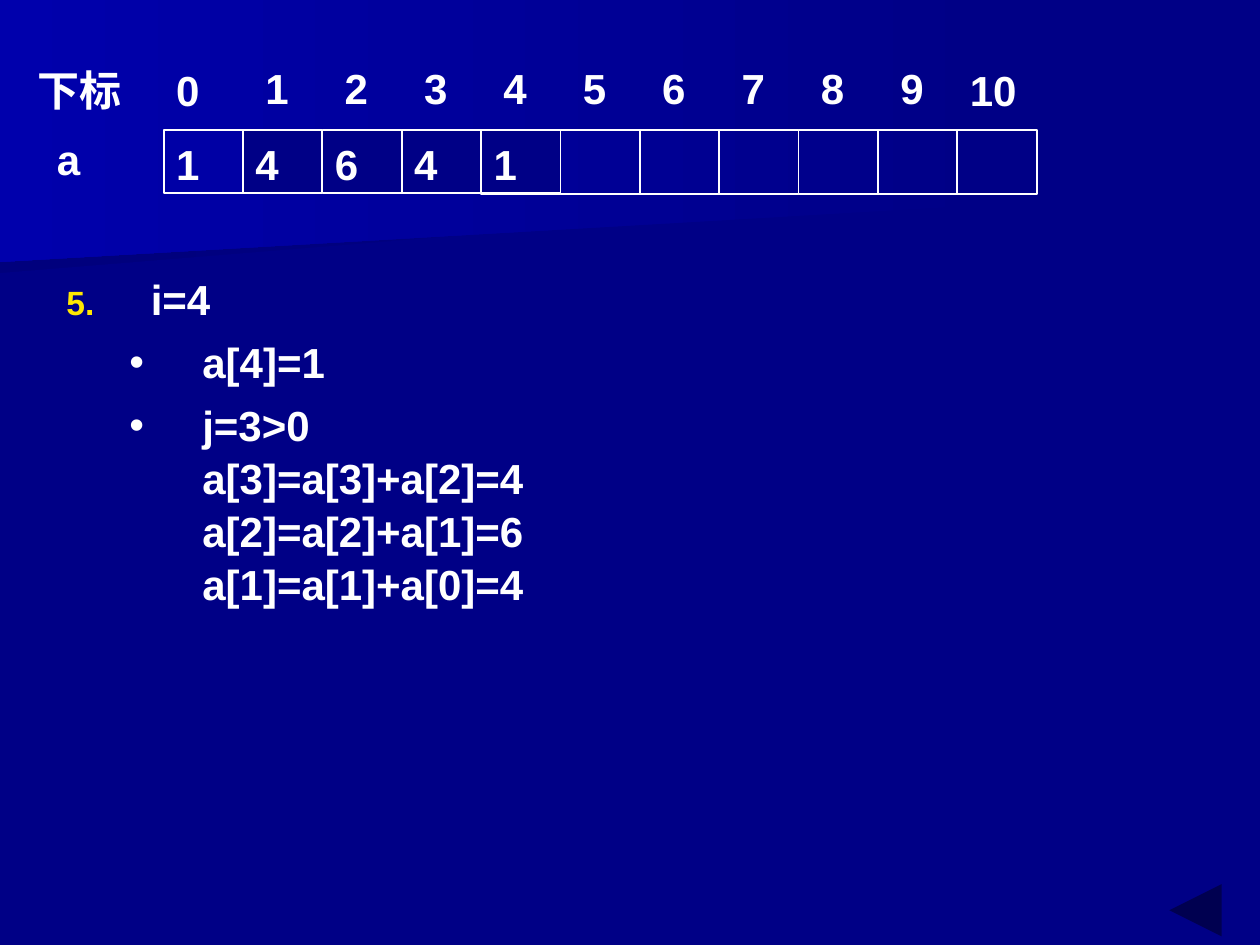
from dataclasses import dataclass

from lxml.etree import SubElement
from pptx import Presentation
from pptx.dml.color import RGBColor
from pptx.enum.shapes import MSO_SHAPE
from pptx.enum.text import MSO_ANCHOR, PP_ALIGN
from pptx.oxml.ns import qn
from pptx.util import Cm, Pt


@dataclass(frozen=True)
class Theme:
    navy: RGBColor = RGBColor.from_string("000086")
    shade: RGBColor = RGBColor.from_string("00007D")
    glow: RGBColor = RGBColor.from_string("0000AC")
    white: RGBColor = RGBColor.from_string("FFFFFF")
    number: RGBColor = RGBColor.from_string("FFE701")
    font: str = "Arial"
    size: Pt = Pt(24)
    outline: Pt = Pt(1)
    line_spacing: float = 1.05


theme = Theme()


def write(paragraph, text):
    """Add text run by run, with a line break between its lines."""
    paragraph.alignment = PP_ALIGN.LEFT
    paragraph.line_spacing = theme.line_spacing
    for index, line in enumerate(text.split("\n")):
        if index:
            paragraph.add_line_break()
        run = paragraph.add_run()
        run.text = line
        run.font.name = theme.font
        run.font.size = theme.size
        run.font.bold = True
        run.font.color.rgb = theme.white


def add_cell(index, height, value="", filled=False):
    """Draw one array cell in its column."""
    cell = slide.shapes.add_shape(
        MSO_SHAPE.RECTANGLE, Cm(first_column + index * pitch), Cm(2.62), Cm(pitch), Cm(height))
    cell.shadow.inherit = False
    cell.line.color.rgb = theme.white
    cell.line.width = theme.outline
    if filled:
        cell.fill.solid()
        cell.fill.fore_color.rgb = theme.navy
    else:
        cell.fill.background()
    if value:
        cell.text_frame.vertical_anchor = MSO_ANCHOR.TOP
        write(cell.text_frame.paragraphs[0], value)


presentation = Presentation()
presentation.slide_width, presentation.slide_height = Cm(25.4), Cm(19.05)
slide = presentation.slides.add_slide(presentation.slide_layouts[6])
slide.background.fill.solid()
slide.background.fill.fore_color.rgb = theme.navy

# Light wedge across the top, with its darker edge behind it
wedges = [
    ([(19.77, 3.89), (0, 5.5), (0, 2.56), (19.78, 2.56)], theme.shade),
    ([(20.11, 4.12), (0, 5.28), (0, 0), (20.11, 0)], theme.glow),
]
for corners, left_color in wedges:
    points = [(Cm(x), Cm(y)) for x, y in corners]
    builder = slide.shapes.build_freeform(*points[0])
    builder.add_line_segments(points[1:], close=True)
    wedge = builder.convert_to_shape()
    wedge.shadow.inherit = False
    wedge.line.fill.background()
    wedge.fill.gradient()
    wedge.fill.gradient_angle = 180
    for stop, color, position in zip(wedge.fill.gradient_stops, (theme.navy, left_color), (0, 1)):
        stop.color.rgb = color
        stop.position = position

# Array cells
first_column, pitch = 3.3, 1.6
values = ["1", "4", "6", "4", "1"]
last_index = 10
for index in range(len(values) - 1, last_index + 1):
    add_cell(index, 1.3)
for index, value in enumerate(values):
    add_cell(index, 1.27, value, filled=index > 0)

# Row names and subscripts
labels = [("下标", 0.5, 1.12, 2.9), ("a", 0.9, 2.52, pitch)]
for index in range(last_index + 1):
    at_end = index in (0, last_index)
    left = first_column + index * pitch + (0 if at_end else 0.2)
    labels.append((str(index), left, 1.12 if at_end else 1.09, pitch))
for text, left, top, width in labels:
    label = slide.shapes.add_textbox(Cm(left), Cm(top), Cm(width), Cm(1.27))
    label.text_frame.word_wrap = True
    write(label.text_frame.paragraphs[0], text)

# Steps of the round
steps = [
    ("i=4", 0, 1.7, -1.7),
    ("a[4]=1", 1, 2.74, -1.47),
    ("j=3>0\na[3]=a[3]+a[2]=4\na[2]=a[2]+a[1]=6\na[1]=a[1]+a[0]=4", 1, 2.74, -1.47),
]
trace = slide.shapes.add_textbox(Cm(1.09), Cm(5.33), Cm(22.86), Cm(7.01)).text_frame
trace.word_wrap = True
for order, (text, level, margin, indent) in enumerate(steps):
    step = trace.add_paragraph() if order else trace.paragraphs[0]
    step.level = level
    if order:
        step.space_before = Pt(6)
    write(step, text)
    properties = step._p.get_or_add_pPr()
    properties.set("marL", str(Cm(margin)))
    properties.set("indent", str(Cm(indent)))
    bullet_color = SubElement(properties, qn("a:buClr"))
    SubElement(bullet_color, qn("a:srgbClr"), val=str(theme.white if level else theme.number))
    SubElement(properties, qn("a:buSzPct"), val="100000" if level else "80000")
    SubElement(properties, qn("a:buFont"), typeface=theme.font)
    if level:
        SubElement(properties, qn("a:buChar"), char="•")
    else:
        SubElement(properties, qn("a:buAutoNum"), type="arabicPeriod", startAt="5")

# Back button
back = slide.shapes.add_shape(
    MSO_SHAPE.ACTION_BUTTON_BACK_OR_PREVIOUS, Cm(22.8), Cm(17.65), Cm(2.6), Cm(1.4))
back.shadow.inherit = False
back.fill.solid()
back.fill.fore_color.rgb = theme.navy
back.line.fill.background()

presentation.save("out.pptx")
